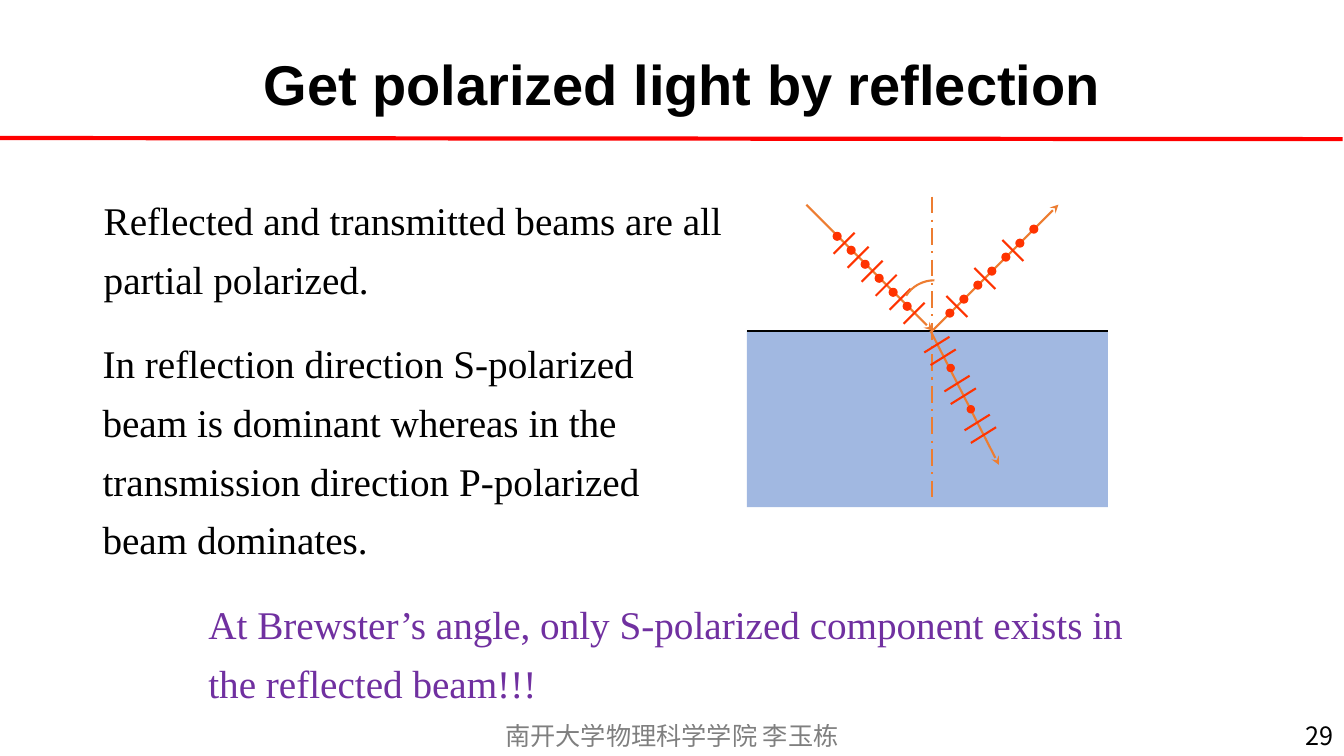
from dataclasses import dataclass

import pptx
import pptx.dml.color
import pptx.enum.dml
import pptx.enum.shapes
import pptx.enum.text
import pptx.oxml
import pptx.oxml.ns
import pptx.util

Pt = pptx.util.Pt
SHAPES = pptx.enum.shapes.MSO_SHAPE
ALIGN = pptx.enum.text.PP_ALIGN
ANCHOR = pptx.enum.text.MSO_ANCHOR
DASH = pptx.enum.dml.MSO_LINE

BLACK, RED, PURPLE, BLUE = "000000", "FF0000", "7030A0", "4472C4"
RAY, MARK = "ED7D31", "FF3300"
SERIF, SANS, CJK = "Times New Roman", "Arial", "Noto Sans CJK SC"


@dataclass
class Label:
    text: str
    left: float
    top: float
    width: float
    height: float
    size: float
    font: str
    color: str = BLACK
    opacity: int = 100
    bold: bool = False
    align: ALIGN = ALIGN.LEFT
    anchor: ANCHOR = ANCHOR.TOP
    spacing: float = 1.0
    wrap: bool = True


@dataclass
class Beam:
    """A ray with evenly spaced P ticks and S dots."""
    start: tuple[float, float]
    end: tuple[float, float]
    tick: tuple[float, float, float, float]
    tick_shifts: list[tuple[float, float]]
    dot: tuple[float, float]
    dot_shifts: list[tuple[float, float]]
    dot_size: float


def paint(fill, color: str, opacity: int = 100) -> None:
    fill.solid()
    fill.fore_color.rgb = pptx.dml.color.RGBColor.from_string(color)
    if opacity < 100:
        srgb = fill._xPr.find(".//" + pptx.oxml.ns.qn("a:srgbClr"))
        alpha = srgb.makeelement(pptx.oxml.ns.qn("a:alpha"), {"val": str(opacity * 1000)})
        srgb.append(alpha)


def add_label(slide, label: Label) -> None:
    box = slide.shapes.add_textbox(
        Pt(label.left), Pt(label.top), Pt(label.width), Pt(label.height))
    frame = box.text_frame
    frame.word_wrap = label.wrap
    frame.vertical_anchor = label.anchor
    paragraph = frame.paragraphs[0]
    paragraph.alignment = label.align
    paragraph.line_spacing = label.spacing
    run = paragraph.add_run()
    run.text = label.text
    run.font.size = Pt(label.size)
    run.font.bold = label.bold
    run.font.name = label.font
    paint(run.font.fill, label.color, label.opacity)
    properties = run.font._element
    properties.append(properties.makeelement(
        pptx.oxml.ns.qn("a:ea"), {"typeface": label.font}))


def add_line(slide, x1: float, y1: float, x2: float, y2: float, color: str,
             width: float = 1.5, dash=None, arrow: bool = False) -> None:
    line = slide.shapes.add_connector(
        pptx.enum.shapes.MSO_CONNECTOR.STRAIGHT, Pt(x1), Pt(y1), Pt(x2), Pt(y2))
    paint(line.line.fill, color)
    line.line.width = Pt(width)
    if dash is not None:
        line.line.dash_style = dash
    properties = line._element.spPr
    if arrow:
        outline = properties.find(pptx.oxml.ns.qn("a:ln"))
        outline.append(outline.makeelement(
            pptx.oxml.ns.qn("a:tailEnd"), {"type": "stealth"}))
    properties.append(properties.makeelement(pptx.oxml.ns.qn("a:effectLst"), {}))


def add_figure(slide, kind, left: float, top: float, width: float, height: float,
               fill: str = "", outline: str = "", opacity: int = 100):
    figure = slide.shapes.add_shape(kind, Pt(left), Pt(top), Pt(width), Pt(height))
    figure.shadow.inherit = False
    if fill:
        paint(figure.fill, fill, opacity)
    else:
        figure.fill.background()
    if outline:
        paint(figure.line.fill, outline)
        figure.line.width = Pt(1.5)
    else:
        figure.line.fill.background()
    return figure


def add_beam(slide, beam: Beam) -> None:
    add_line(slide, *beam.start, *beam.end, RAY, arrow=True)
    x1, y1, x2, y2 = beam.tick
    for dx, dy in beam.tick_shifts:
        add_line(slide, x1 + dx, y1 + dy, x2 + dx, y2 + dy, MARK)
    for dx, dy in beam.dot_shifts:
        add_figure(slide, SHAPES.OVAL, beam.dot[0] + dx, beam.dot[1] + dy,
                   beam.dot_size, beam.dot_size, MARK, MARK)


SURFACE_Y, NORMAL_X = 236.2, 666

INCIDENT = Beam((576, 146.2), (NORMAL_X, SURFACE_Y),
                (610.5, 166.3, 595.5, 181.3), [(10 * i, 10 * i) for i in range(6)],
                (595.5, 166.3), [(10 * i, 10 * i) for i in range(6)], 5)
REFLECTED = Beam((NORMAL_X, SURFACE_Y), (756, 146.2),
                 (676, 211.4, 691, 226.4), [(20 * i, -20 * i) for i in range(3)],
                 (676, 221.2), [(10 * i, -10 * i) for i in range(7)], 5)
REFRACTED = Beam((664.6, SURFACE_Y), (713.5, 332),
                 (678.2, 240.6, 660.2, 251.8),
                 [(14.4 * pair + 4.5 * i, 27.8 * pair + 9 * i)
                  for pair in range(3) for i in range(2)],
                 (676.8, 260.6), [(14.4 * i, 29.5 * i) for i in range(2)], 4.5)

LABELS = [
    Label("Get polarized light by reflection", 181.4, 31.7, 641.5, 55.4, 40, SANS, bold=True),
    Label("Reflected and transmitted beams are all partial polarized.",
          67, 128.2, 456.5, 87.8, 28, SERIF, spacing=1.25),
    Label("In reflection direction S-polarized beam is dominant whereas in the "
          "transmission direction P-polarized beam dominates.",
          66.2, 230.4, 460.8, 172.8, 28, SERIF, spacing=1.25),
    Label("At Brewster’s angle, only S-polarized component exists in the reflected beam!!!",
          141.8, 416.9, 688.3, 87.8, 28, SERIF, PURPLE, spacing=1.25),
    Label("南开大学物理科学学院 李玉栋", 350, 511.2, 260, 28.8, 18, CJK, opacity=50,
          align=ALIGN.CENTER, anchor=ANCHOR.MIDDLE, wrap=False),
    Label("29", 743.8, 511.2, 216, 28.8, 18, CJK, align=ALIGN.RIGHT, anchor=ANCHOR.MIDDLE),
]


def main() -> None:
    deck = pptx.Presentation()
    deck.slide_width, deck.slide_height = Pt(960), Pt(540)
    slide = deck.slides.add_slide(deck.slide_layouts[6])

    # Medium and its surface
    add_figure(slide, SHAPES.RECTANGLE, 533.5, SURFACE_Y, 257.8, 126, BLUE, opacity=50)
    add_line(slide, 533.5, SURFACE_Y, 791.3, SURFACE_Y, BLACK)

    # Beams and the normal
    add_beam(slide, INCIDENT)
    add_line(slide, NORMAL_X, 140.4, NORMAL_X, 356.4, RAY, dash=DASH.LONG_DASH_DOT)
    add_beam(slide, REFLECTED)
    add_beam(slide, REFRACTED)

    # Angle of incidence, drawn from 213 to 270 degrees
    angle = add_figure(slide, SHAPES.ARC, 643.4, 200.2, 48, 48, outline=RAY)
    angle.adjustments[0] = 213 * 0.6
    angle.adjustments[1] = 270 * 0.6

    # Wording and title rule
    for label in LABELS:
        add_label(slide, label)
    add_line(slide, -1.4, 98.6, 959, 99.4, RED, width=3)

    deck.save("out.pptx")


if __name__ == "__main__":
    main()
